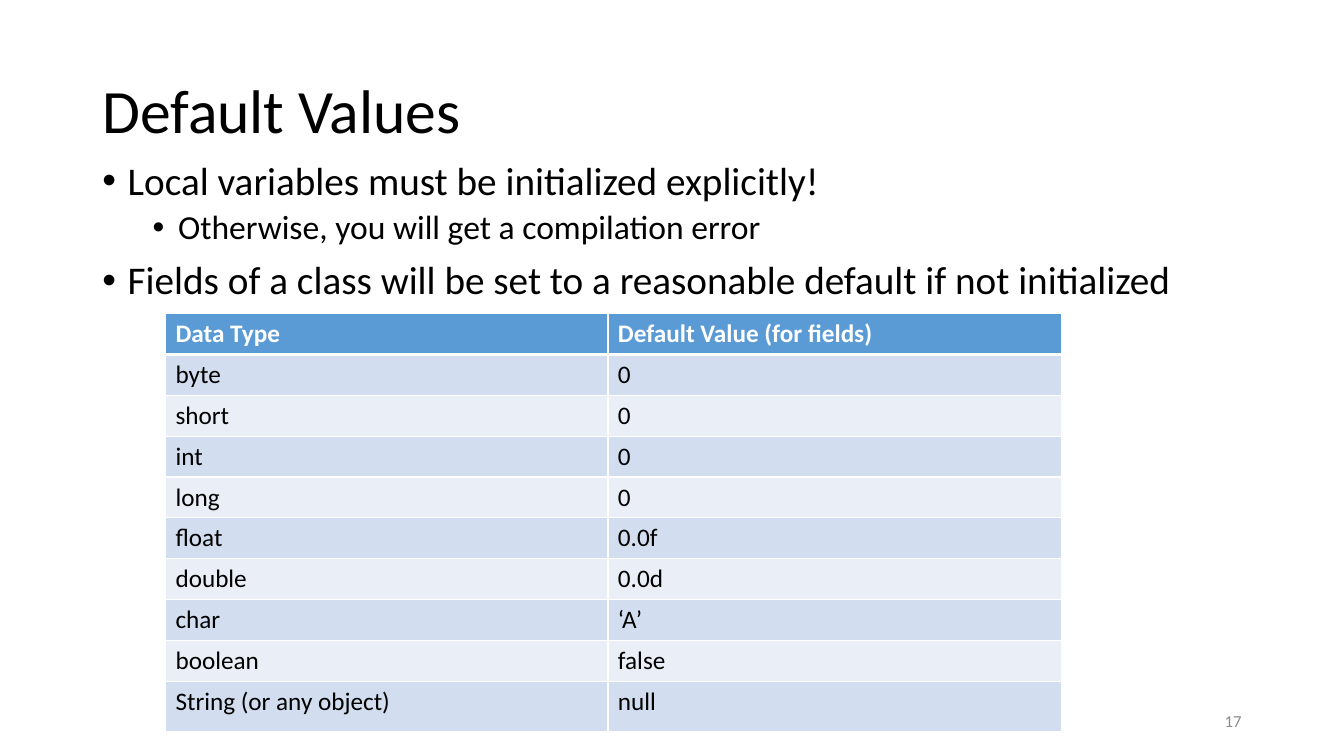
from dataclasses import dataclass

import pptx
import pptx.dml.color
import pptx.enum.text
import pptx.oxml
import pptx.oxml.ns
import pptx.util

Cm = pptx.util.Cm
Pt = pptx.util.Pt
RGBColor = pptx.dml.color.RGBColor
Anchor = pptx.enum.text.MSO_ANCHOR
Align = pptx.enum.text.PP_ALIGN

BLACK = RGBColor(0x00, 0x00, 0x00)
WHITE = RGBColor(0xFF, 0xFF, 0xFF)
GRAY = RGBColor(0x8C, 0x8C, 0x8C)
HEADER = RGBColor(0x5B, 0x9B, 0xD5)
BAND_DARK = RGBColor(0xD2, 0xDE, 0xEF)
BAND_LIGHT = RGBColor(0xEA, 0xEF, 0xF7)

COLUMN_WIDTHS = (11.15, 11.43)
ROW_HEIGHT = 1.03
LAST_ROW_HEIGHT = 1.26


@dataclass(frozen=True)
class Line:
    text: str
    size: int
    color: RGBColor = BLACK
    bold: bool = False


@dataclass(frozen=True)
class Bullet:
    line: Line
    indent: float
    space_before: int


@dataclass(frozen=True)
class Box:
    left: float
    top: float
    width: float
    height: float
    anchor: Anchor = Anchor.TOP


TITLE = Box(2.33, 1.01, 29.21, 3.68, Anchor.MIDDLE)
BODY = Box(2.33, 3.94, 29.21, 12.09)
NUMBER = Box(23.92, 17.65, 7.62, 1.01, Anchor.MIDDLE)

BULLETS = (
    Bullet(Line("Local variables must be initialized explicitly!", 28), 0.64, 10),
    Bullet(Line("Otherwise, you will get a compilation error", 24), 1.91, 5),
    Bullet(Line("Fields of a class will be set to a reasonable default if not initialized", 28), 0.64, 10),
)

DEFAULTS = (
    ("Data Type", "Default Value (for fields)"),
    ("byte", "0"),
    ("short", "0"),
    ("int", "0"),
    ("long", "0"),
    ("float", "0.0f"),
    ("double", "0.0d"),
    ("char", "‘A’"),
    ("boolean", "false"),
    ("String (or any object)", "null"),
)


def apply(target: object, values: dict) -> None:
    for name, value in values.items():
        setattr(target, name, value)


def write(p, line: Line, **paragraph_format) -> None:
    apply(p, paragraph_format)
    r = p.add_run()
    r.text = line.text
    apply(r.font, {"name": "Calibri", "size": Pt(line.size), "bold": line.bold})
    r.font.color.rgb = line.color


def add_box(s, box: Box):
    sp = s.shapes.add_textbox(Cm(box.left), Cm(box.top), Cm(box.width), Cm(box.height))
    tf = sp.text_frame
    apply(tf, {"word_wrap": True, "vertical_anchor": box.anchor})
    return tf


def add_bullet(p, bullet: Bullet) -> None:
    write(p, bullet.line, line_spacing=0.9, space_before=Pt(bullet.space_before))
    pPr = p._p.get_or_add_pPr()
    pPr.set("marL", str(Cm(bullet.indent)))
    pPr.set("indent", str(-Cm(0.64)))
    ns = pptx.oxml.ns.nsdecls("a")
    pPr.append(pptx.oxml.parse_xml(f'<a:buFont {ns} typeface="Arial"/>'))
    pPr.append(pptx.oxml.parse_xml(f'<a:buChar {ns} char="•"/>'))


def add_borders(cell, widths: dict[str, int]) -> None:
    tcPr = cell._tc.get_or_add_tcPr()
    for side, width in widths.items():
        tcPr.append(pptx.oxml.parse_xml(
            f'<a:ln{side} {pptx.oxml.ns.nsdecls("a")} w="{Pt(width)}">'
            f'<a:solidFill><a:srgbClr val="{WHITE}"/></a:solidFill></a:ln{side}>'))


def fill_cell(cell, text: str, row: int) -> None:
    is_header = row == 0
    add_borders(cell, {"L": 1, "R": 1, "T": 3 if row == 1 else 1, "B": 3 if is_header else 1})
    cell.fill.solid()
    cell.fill.fore_color.rgb = HEADER if is_header else BAND_DARK if row % 2 else BAND_LIGHT
    line = Line(text, 18, WHITE if is_header else BLACK, is_header)
    write(cell.text_frame.paragraphs[0], line)


def add_defaults_table(s) -> None:
    heights = [ROW_HEIGHT] * (len(DEFAULTS) - 1) + [LAST_ROW_HEIGHT]
    table = s.shapes.add_table(
        len(DEFAULTS), len(COLUMN_WIDTHS), Cm(4.17), Cm(7.9),
        Cm(sum(COLUMN_WIDTHS)), Cm(sum(heights))).table
    for column, width in zip(table.columns, COLUMN_WIDTHS):
        column.width = Cm(width)
    for row, (height, texts) in enumerate(zip(heights, DEFAULTS)):
        table.rows[row].height = Cm(height)
        for column, text in enumerate(texts):
            fill_cell(table.cell(row, column), text, row)


prs = pptx.Presentation()
apply(prs, {"slide_width": Cm(33.87), "slide_height": Cm(19.05)})
s = prs.slides.add_slide(prs.slide_layouts[6])

write(add_box(s, TITLE).paragraphs[0], Line("Default Values", 44), line_spacing=0.9)

tf = add_box(s, BODY)
for i, bullet in enumerate(BULLETS):
    add_bullet(tf.add_paragraph() if i else tf.paragraphs[0], bullet)

add_defaults_table(s)
write(add_box(s, NUMBER).paragraphs[0], Line("17", 12, GRAY), alignment=Align.RIGHT)

prs.save("out.pptx")
